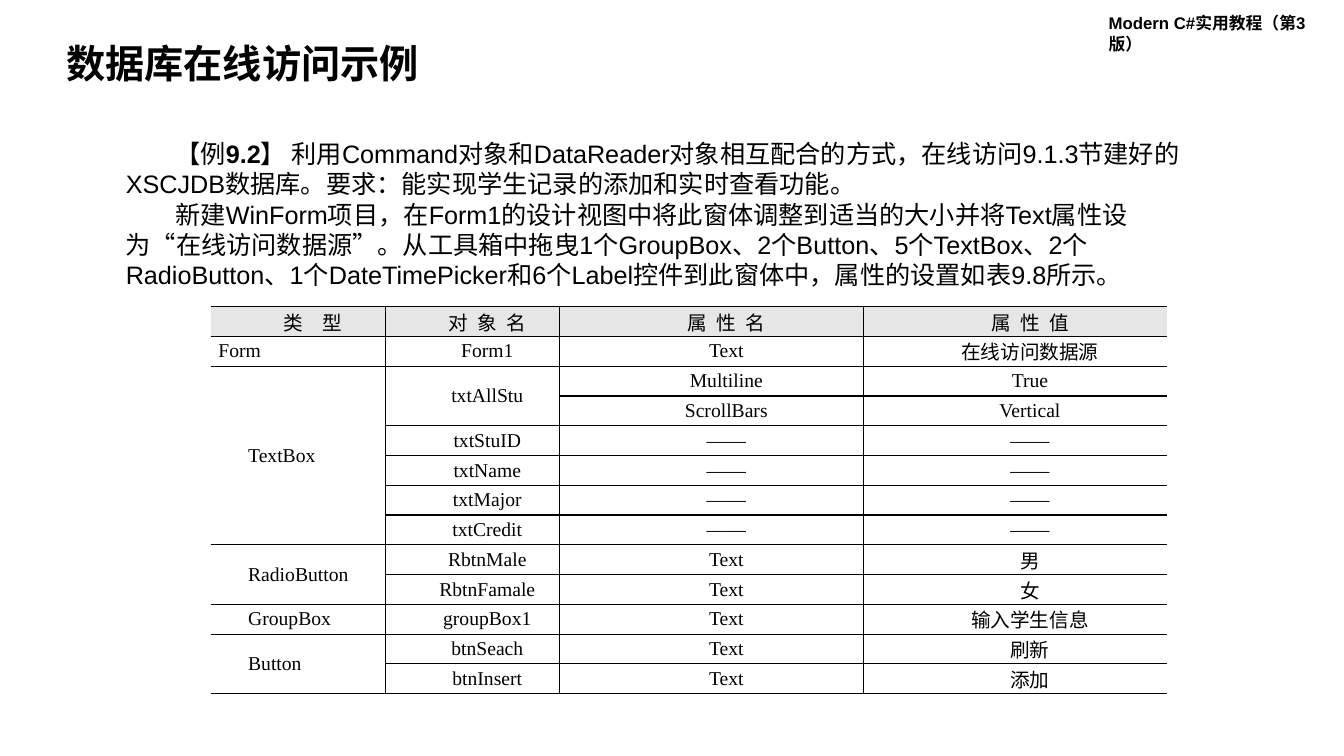
from dataclasses import dataclass

import lxml.etree
import pptx
import pptx.dml.color
import pptx.enum.text
import pptx.oxml.ns
import pptx.util

Pt = pptx.util.Pt
PP_ALIGN = pptx.enum.text.PP_ALIGN
MIDDLE = pptx.enum.text.MSO_ANCHOR.MIDDLE
TOP = pptx.enum.text.MSO_ANCHOR.TOP

COLORS = {"text": "000000", "line": "000000", "header": "E6E6E6"}
BODY_FONT, TABLE_FONT = "Arial", "Times New Roman"
COLUMN_WIDTHS = (124.6, 124.6, 216.9, 216.9)
ROW_HEIGHT = 21.27
TABLE_LEFT, TABLE_TOP = 150.6, 219.1
CELL_INDENT = 21.25
DASH = "——"

# An empty string continues the cell above it.
ROWS = (
    ("类 型", "对 象 名", "属 性 名", "属 性 值"),
    ("Form", "Form1", "Text", "在线访问数据源"),
    ("TextBox", "txtAllStu", "Multiline", "True"),
    ("", "", "ScrollBars", "Vertical"),
    ("", "txtStuID", DASH, DASH),
    ("", "txtName", DASH, DASH),
    ("", "txtMajor", DASH, DASH),
    ("", "txtCredit", DASH, DASH),
    ("RadioButton", "RbtnMale", "Text", "男"),
    ("", "RbtnFamale", "Text", "女"),
    ("GroupBox", "groupBox1", "Text", "输入学生信息"),
    ("Button", "btnSeach", "Text", "刷新"),
    ("", "btnInsert", "Text", "添加"),
)


@dataclass(frozen=True)
class TextBlock:
    left: float
    top: float
    width: float
    height: float
    size: float
    paragraphs: tuple[str, ...]
    bold: bool = False
    indent: float = 0
    spacing: float = 1.0
    anchor: pptx.enum.text.MSO_ANCHOR = TOP
    bold_part: str = ""


TEXT_BLOCKS = (
    TextBlock(784.8, 5.8, 175.7, 21.6, 12, ("Modern C#实用教程（第3版）",), bold=True),
    TextBlock(40.3, 28.1, 503.3, 37.4, 28, ("数据库在线访问示例",),
              bold=True, spacing=0.9, anchor=MIDDLE),
    TextBlock(82.8, 95.4, 777.6, 116.6, 18, (
        "【例9.2】 利用Command对象和DataReader对象相互配合的方式，在线访问9.1.3节建好的"
        "XSCJDB数据库。要求：能实现学生记录的添加和实时查看功能。",
        "新建WinForm项目，在Form1的设计视图中将此窗体调整到适当的大小并将Text属性设为"
        "“在线访问数据源”。从工具箱中拖曳1个GroupBox、2个Button、5个TextBox、"
        "2个RadioButton、1个DateTimePicker和6个Label控件到此窗体中，属性的设置如表9.8所示。",
    ), indent=35.4, bold_part="9.2"),
)


def rgb(name: str) -> pptx.dml.color.RGBColor:
    return pptx.dml.color.RGBColor.from_string(COLORS[name])


def set_indent(p, points: float) -> None:
    """Indent the first line of a paragraph."""
    pPr = p._p.get_or_add_pPr()
    pPr.set("marL", "0")
    pPr.set("indent", str(int(Pt(points))))


def format_run(r, font: str, size: float, bold: bool = False) -> None:
    r.font.name = font
    r.font.size = Pt(size)
    r.font.bold = bold
    r.font.color.rgb = rgb("text")


def add_text(s, block: TextBlock) -> None:
    sp = s.shapes.add_textbox(Pt(block.left), Pt(block.top), Pt(block.width), Pt(block.height))
    tf = sp.text_frame
    tf.word_wrap = True
    tf.vertical_anchor = block.anchor
    for i, text in enumerate(block.paragraphs):
        p = tf.add_paragraph() if i else tf.paragraphs[0]
        set_indent(p, block.indent)
        p.line_spacing = block.spacing
        parts = text.partition(block.bold_part) if block.bold_part and i == 0 else (text,)
        for part in parts:
            r = p.add_run()
            r.text = part
            format_run(r, BODY_FONT, block.size, block.bold or part == block.bold_part)


def set_borders(cell, column: int) -> None:
    """Rule every side of a cell except the table's outer left and right."""
    tcPr = cell._tc.get_or_add_tcPr()
    open_sides = {0: "L", len(COLUMN_WIDTHS) - 1: "R"}
    qn = pptx.oxml.ns.qn
    for side in "LRTB":
        ln = lxml.etree.SubElement(tcPr, qn(f"a:ln{side}"), w=str(int(Pt(1))))
        if open_sides.get(column) == side:
            lxml.etree.SubElement(ln, qn("a:noFill"))
        else:
            fill = lxml.etree.SubElement(ln, qn("a:solidFill"))
            lxml.etree.SubElement(fill, qn("a:srgbClr"), val=COLORS["line"])


def fill_cell(cell, text: str, row: int, column: int) -> None:
    set_borders(cell, column)
    cell.margin_left = cell.margin_right = Pt(5.4)
    cell.margin_top = cell.margin_bottom = 0
    cell.vertical_anchor = MIDDLE
    if row == 0:
        cell.fill.solid()
        cell.fill.fore_color.rgb = rgb("header")
    else:
        cell.fill.background()
    if not text:
        return
    cell.text_frame.text = text
    p = cell.text_frame.paragraphs[0]
    p.alignment = PP_ALIGN.JUSTIFY if column == 0 and row else PP_ALIGN.CENTER
    set_indent(p, 0 if text == "Form" else CELL_INDENT)
    r = p.runs[0]
    format_run(r, TABLE_FONT, 14)
    if row == 0:
        # Letter spacing in hundredths of a point.
        r.font._element.set("spc", "525" if column == 0 else "175")


def add_property_table(s) -> None:
    frame = s.shapes.add_table(len(ROWS), len(COLUMN_WIDTHS), Pt(TABLE_LEFT), Pt(TABLE_TOP),
                               Pt(sum(COLUMN_WIDTHS)), Pt(ROW_HEIGHT * len(ROWS)))
    table = frame.table
    table.first_row = table.horz_banding = False
    for column, width in zip(table.columns, COLUMN_WIDTHS):
        column.width = Pt(width)
    for row in table.rows:
        row.height = Pt(ROW_HEIGHT)
    for i, texts in enumerate(ROWS):
        for j, text in enumerate(texts):
            fill_cell(table.cell(i, j), text, i, j)
    for j in range(len(COLUMN_WIDTHS)):
        starts = [i for i, texts in enumerate(ROWS) if texts[j]] + [len(ROWS)]
        for start, end in zip(starts, starts[1:]):
            if end - start > 1:
                table.cell(start, j).merge(table.cell(end - 1, j))


def main() -> None:
    prs = pptx.Presentation()
    prs.slide_width, prs.slide_height = Pt(960), Pt(540)
    s = prs.slides.add_slide(prs.slide_layouts[6])
    for block in TEXT_BLOCKS:
        add_text(s, block)
    add_property_table(s)
    prs.save("out.pptx")


if __name__ == "__main__":
    main()
